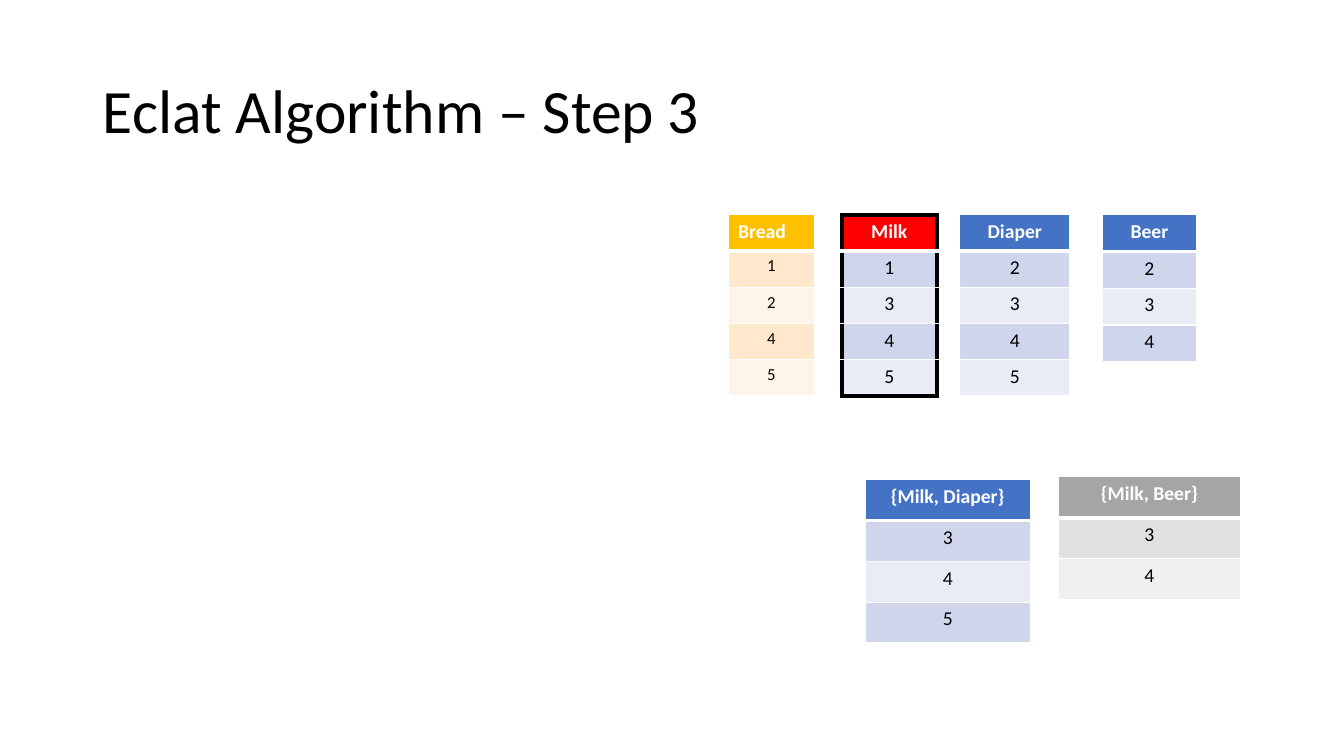
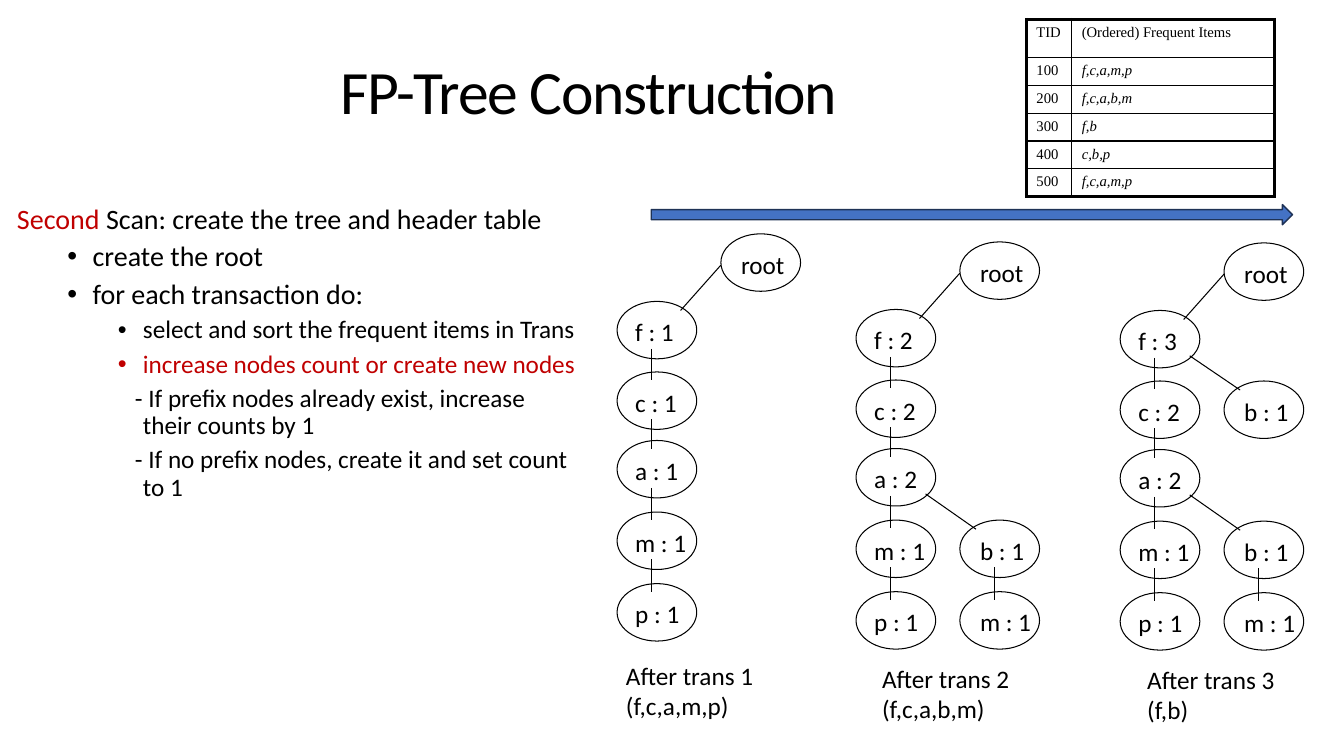
from dataclasses import dataclass
from lxml import etree
from pptx import Presentation
from pptx.dml.color import RGBColor as RGB
from pptx.enum.shapes import MSO_CONNECTOR as LINK, MSO_SHAPE as SHAPE
from pptx.enum.text import MSO_ANCHOR as ANCHOR, MSO_AUTO_SIZE as AUTO, PP_ALIGN as ALIGN
from pptx.oxml.ns import qn
from pptx.util import Pt

PX = 9144  # one px is 1/100 inch


@dataclass(frozen=True)
class Theme:
    font: str = "Calibri"
    serif: str = "Times New Roman"
    black: str = "000000"
    white: str = "FFFFFF"
    blue: str = "4472C4"
    navy: str = "1E3256"
    red: str = "C00000"
    title: float = 44
    lead: float = 20
    text: float = 18
    head: float = 14
    small: float = 12
    tiny: float = 10.5


T = Theme()

# Head fill, then the two fills of the body rows
BLUE = (T.blue, "CFD5EA", "E9EBF5")
RED = ("FF0000", "CFD5EA", "E9EBF5")
GOLD = ("FFC000", "FFE8CC", "FFF4E7")
GRAY = ("A5A5A5", "E1E1E1", "F0F0F0")

# Edges as (colour, points): outer, below the head, between cells
PLAIN = ((T.white, 1), (T.white, 3), (T.white, 1))
BOLD = ((T.black, 3), (T.white, 3), (T.white, 1))
RULED = ((T.black, 2.25), (T.black, 1), (T.black, 1))

# Item lists: box, fills, edges, body size, head alignment, items
LISTS = [
    ((722, 213, 86, 180), GOLD, PLAIN, T.small, ALIGN.LEFT, ["Bread", "1", "2", "4", "5"]),
    ((835, 213, 94, 180), RED, BOLD, T.head, ALIGN.CENTER, ["Milk", "1", "3", "4", "5"]),
    ((952, 213, 109, 180), BLUE, PLAIN, T.head, ALIGN.CENTER, ["Diaper", "2", "3", "4", "5"]),
    ((1093, 213, 94, 146), BLUE, PLAIN, T.head, ALIGN.CENTER, ["Beer", "2", "3", "4"]),
    ((858, 476, 164, 162), BLUE, PLAIN, T.head, ALIGN.CENTER, ["{Milk, Diaper}", "3", "4", "5"]),
    ((1050, 473, 180, 122), GRAY, PLAIN, T.head, ALIGN.CENTER, ["{Milk, Beer}", "3", "4"]),
]

TRANS = [
    ("TID", "(Ordered) Frequent Items"),
    ("100", "f,c,a,m,p"),
    ("200", "f,c,a,b,m"),
    ("300", "f,b"),
    ("400", "c,b,p"),
    ("500", "f,c,a,m,p"),
]

# Outline: level, bullet, runs as (text, colour)
STEPS = [
    (0, False, [("Second", T.red), (" Scan: create the tree and header table", T.black)]),
    (1, True, [("create the root", T.black)]),
    (1, True, [("for each transaction do:", T.black)]),
    (2, True, [("select and sort the frequent items in Trans", T.black)]),
    (2, True, [("increase nodes count or create new nodes", T.red)]),
    (2, False, [("- If prefix nodes already exist, increase their counts by 1", T.black)]),
    (2, False, [("- If no prefix nodes, create it and set count to 1", T.black)]),
]

# Trees: corner, main chain, side nodes by row, caption with its corner
TREES = [
    ((612, 232), ["f : 1", "c : 1", "a : 1", "m : 1", "p : 1"], {},
     "After trans 1 (f,c,a,m,p)", (611, 650)),
    ((849, 240), ["f : 2", "c : 2", "a : 2", "m : 1", "p : 1"], {4: "b : 1", 5: "m : 1"},
     "After trans 2 (f,c,a,b,m)", (865, 653)),
    ((1111, 241), ["f : 3", "c : 2", "a : 2", "m : 1", "p : 1"],
     {2: "b : 1", 4: "b : 1", 5: "m : 1"}, "After trans 3 (f,b)", (1128, 654)),
]
ROWS = (0, 67, 137, 205, 276, 347)
SIDE = 103
OVAL = (79, 57)


def emu(*vals):
    return [round(v * PX) for v in vals]


def style(run, size, color=T.black, font=T.font, bold=False, slant=False):
    f = run.font
    f.size, f.name, f.bold, f.italic = Pt(size), font, bold, slant
    f.color.rgb = RGB.from_string(color)


def pen(shape, color, width):
    shape.line.color.rgb = RGB.from_string(color)
    shape.line.width = Pt(width)


def add_page(deck, text, box, align, track=0):
    """Add a title-only slide with the shared title style."""
    page = deck.slides.add_slide(deck.slide_layouts[5])
    head = page.shapes.title
    head.left, head.top, head.width, head.height = emu(*box)
    frame = head.text_frame
    frame.text = text
    frame.auto_size, frame.vertical_anchor = AUTO.NONE, ANCHOR.MIDDLE
    para = frame.paragraphs[0]
    para.alignment, para.line_spacing = align, 0.9
    style(para.runs[0], T.title)
    if track:
        para.runs[0].font._element.set("spc", str(track))
    return page


def add_edges(cell, edges):
    props = cell._tc.get_or_add_tcPr()
    for i, (tag, (color, width)) in enumerate(zip(("lnL", "lnR", "lnT", "lnB"), edges)):
        line = etree.Element(qn("a:" + tag), w=str(Pt(width)))
        fill = etree.SubElement(line, qn("a:solidFill"))
        etree.SubElement(fill, qn("a:srgbClr"), val=color)
        props.insert(i, line)


def add_grid(page, box, cols, high, rows, edges, paint):
    """Add a table; paint(cell, row, col) gives each cell its look."""
    outer, below, inner = edges
    last, end = len(rows) - 1, len(cols) - 1
    grid = page.shapes.add_table(len(rows), len(cols), *emu(*box)).table
    grid.first_row = grid.horz_banding = False
    for col, wide in zip(grid.columns, cols):
        col.width = emu(wide)[0]
    for row, tall in zip(grid.rows, high):
        row.height = emu(tall)[0]
    for r, row in enumerate(rows):
        for c, text in enumerate(row):
            cell = grid.cell(r, c)
            cell.text_frame.text = text
            paint(cell, r, c)
            add_edges(cell, (
                outer if c == 0 else inner,
                outer if c == end else inner,
                outer if r == 0 else below if r == 1 else inner,
                outer if r == last else below if r == 0 else inner,
            ))


def add_list(page, box, fills, edges, size, align, items):
    def paint(cell, r, c):
        cell.fill.solid()
        tint = fills[0] if r == 0 else fills[2 - r % 2]
        cell.fill.fore_color.rgb = RGB.from_string(tint)
        para = cell.text_frame.paragraphs[0]
        para.alignment = ALIGN.CENTER if r else align
        if r:
            style(para.runs[0], size)
        else:
            style(para.runs[0], T.head, T.white, bold=True)

    high = [box[3] / len(items)] * len(items)
    add_grid(page, box, [box[2]], high, [[item] for item in items], edges, paint)


def add_trans(page):
    def paint(cell, r, c):
        cell.fill.background()
        run = cell.text_frame.paragraphs[0].runs[0]
        style(run, T.tiny, font=T.serif, slant=r > 0 and c == 1)

    box, head = (1018, 19, 246, 176), 38
    rest = len(TRANS) - 1
    high = [head] + [(box[3] - head) / rest] * rest
    add_grid(page, box, (45, 201), high, TRANS, RULED, paint)


def add_text(shapes, text, box, inset=True):
    note = shapes.add_textbox(*emu(*box))
    frame = note.text_frame
    frame.word_wrap = True
    if not inset:
        frame.margin_left = frame.margin_right = frame.margin_top = frame.margin_bottom = 0
    frame.text = text
    style(frame.paragraphs[0].runs[0], T.text)


def add_link(shapes, *ends):
    link = shapes.add_connector(LINK.STRAIGHT, *emu(*ends))
    pen(link, T.black, 0.75)
    etree.SubElement(link._element.spPr, qn("a:effectLst"))


def add_tree(page, start, chain, side, note, spot):
    shapes = page.shapes.add_group_shape().shapes
    nodes = {(1, 0): "root"}
    nodes.update({(0, r): name for r, name in enumerate(chain, 1)})
    nodes.update({(1, r): name for r, name in side.items()})

    def place(col, row):
        return start[0] + col * SIDE, start[1] + ROWS[row]

    for (col, row), name in nodes.items():
        x, y = place(col, row)
        oval = shapes.add_shape(SHAPE.OVAL, *emu(x, y, *OVAL))
        oval.shadow.inherit = False
        oval.fill.background()
        pen(oval, T.black, 0.75)
        add_text(shapes, name, (x + 18 + 2 * col, y + 15, 61, 30), inset=False)
        if row == 0:
            continue
        # The parent is straight above, or else in the other column
        up = col if (col, row - 1) in nodes else 1 - col
        px, py = place(up, row - 1)
        if up == col:
            add_link(shapes, px + 34, py + 47, x + 34, y + 8)
        elif up > col:
            add_link(shapes, px, py + 31, x + 63, y + 9)
        else:
            add_link(shapes, px + 69, py + 45, x + 16, y + 9)
    add_text(shapes, note, (*spot, 148, 70))


def add_steps(page):
    frame = page.shapes.add_textbox(*emu(7, 199, 576, 476)).text_frame
    frame.word_wrap = True
    for i, (level, dot, runs) in enumerate(STEPS):
        para = frame.add_paragraph() if i else frame.paragraphs[0]
        para.level, para.line_spacing = level, 0.9
        if level:
            para.space_before = Pt(5)
            props = para._p.get_or_add_pPr()
            left, hang = emu(25 + 50 * level, -25 if dot else -8)
            props.set("marL", str(left))
            props.set("indent", str(hang))
            if dot:
                etree.SubElement(props, qn("a:buFont"), typeface="Arial")
                etree.SubElement(props, qn("a:buChar"), char="•")
            else:
                etree.SubElement(props, qn("a:buNone"))
        for text, color in runs:
            run = para.add_run()
            run.text = text
            style(run, T.text if level == 2 else T.lead, color)


def main():
    deck = Presentation()
    deck.slide_width, deck.slide_height = emu(1333, 750)

    # Eclat item lists
    page = add_page(deck, "Eclat Algorithm – Step 3", (92, 40, 1150, 145), ALIGN.LEFT)
    for entry in LISTS:
        add_list(page, *entry)

    # FP-tree growth
    page = add_page(deck, "FP-Tree Construction", (159, 31, 850, 125), ALIGN.CENTER, -90)
    for tree in TREES:
        add_tree(page, *tree)
    add_trans(page)
    arrow = page.shapes.add_shape(SHAPE.RIGHT_ARROW, *emu(646, 203, 636, 20))
    arrow.shadow.inherit = False
    arrow.fill.solid()
    arrow.fill.fore_color.rgb = RGB.from_string(T.blue)
    pen(arrow, T.navy, 1)
    add_steps(page)

    deck.save("out.pptx")


if __name__ == "__main__":
    main()
